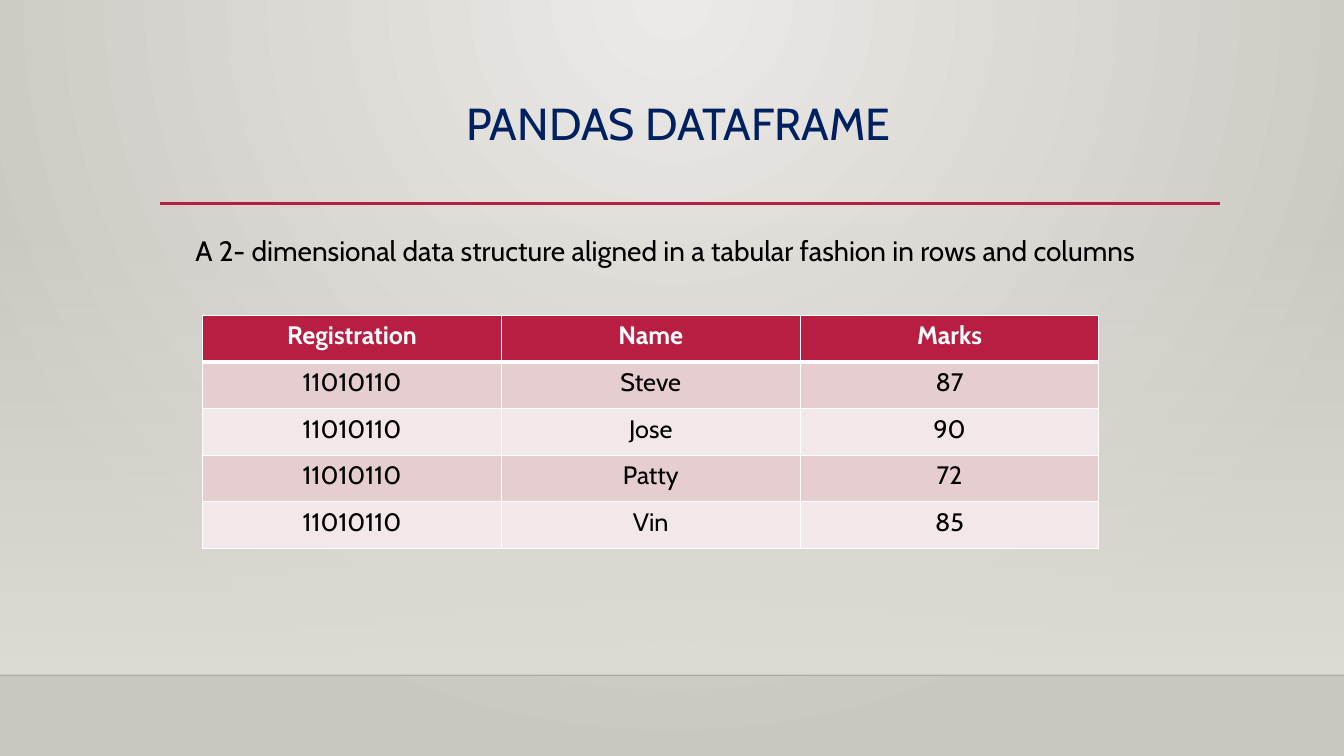
from dataclasses import dataclass

from lxml.etree import SubElement
from pptx import Presentation
from pptx.dml.color import RGBColor
from pptx.enum.shapes import MSO_CONNECTOR, MSO_SHAPE
from pptx.enum.text import PP_ALIGN
from pptx.oxml import parse_xml
from pptx.oxml.ns import nsdecls, qn
from pptx.util import Inches, Pt


@dataclass(frozen=True)
class Theme:
    """Colours, font and type sizes of the slide."""

    font: str = "Cabin"
    title_size: int = 32
    body_size: int = 20
    table_size: int = 18
    navy: str = "002060"
    black: str = "000000"
    white: str = "FFFFFF"
    crimson: str = "B71E42"
    band_dark: str = "E6CDCF"
    band_light: str = "F3E8E9"
    glow: str = "ECEAE7"
    edge: str = "CAC7C1"
    wall: str = "DFDBD5"
    floor_line: str = "000001"


THEME = Theme()
RADIAL = '<a:path path="circle"><a:fillToRect l="43000" t="0" r="43000" b="100000"/></a:path>'
DOWNWARD = '<a:lin ang="5400000" scaled="0"/>'
STUDENTS = [
    ("Registration", "Name", "Marks"),
    ("11010110", "Steve", "87"),
    ("11010110", "Jose", "90"),
    ("11010110", "Patty", "72"),
    ("11010110", "Vin", "85"),
]


def set_gradient(fill, element, stops, direction):
    """Give a fill a gradient of (position, colour, opacity) stops in percent."""
    fill.gradient()
    default = element.find(".//" + qn("a:gradFill"))
    stop_list = "".join(
        f'<a:gs pos="{position * 1000}"><a:srgbClr val="{color}">'
        f'<a:alpha val="{opacity * 1000}"/></a:srgbClr></a:gs>'
        for position, color, opacity in stops
    )
    gradient = parse_xml(
        f'<a:gradFill {nsdecls("a")} rotWithShape="1">'
        f"<a:gsLst>{stop_list}</a:gsLst>{direction}</a:gradFill>"
    )
    default.getparent().replace(default, gradient)


def add_wall(slide):
    """Add the wall that fades in towards the floor."""
    wall = slide.shapes.add_shape(
        MSO_SHAPE.RECTANGLE, Inches(0), Inches(2.21), Inches(13.33), Inches(4.49)
    )
    wall.shadow.inherit = False
    wall.line.fill.background()
    stops = [(0, THEME.wall, 0), (100, THEME.wall, 100)]
    set_gradient(wall.fill, wall.element, stops, DOWNWARD)


def add_rule(slide, left, right, top, color, weight, opacity=100):
    """Add a horizontal line."""
    rule = slide.shapes.add_connector(
        MSO_CONNECTOR.STRAIGHT, Inches(left), Inches(top), Inches(right), Inches(top)
    )
    rule.line.color.rgb = RGBColor.from_string(color)
    rule.line.width = Pt(weight)
    if opacity < 100:
        tint = rule.element.spPr.find(".//" + qn("a:srgbClr"))
        SubElement(tint, qn("a:alpha"), val=str(opacity * 1000))
    SubElement(rule.element.spPr, qn("a:effectLst"))


def write(paragraph, text, size, color, bold=False):
    """Write a centred run into a paragraph."""
    paragraph.alignment = PP_ALIGN.CENTER
    run = paragraph.add_run()
    run.text = text
    run.font.name = THEME.font
    run.font.size = Pt(size)
    run.font.bold = bold
    run.font.color.rgb = RGBColor.from_string(color)


def add_text(slide, box, text, size, color, line_spacing, space_before=0):
    """Add a wrapped text box with one paragraph."""
    frame = slide.shapes.add_textbox(*map(Inches, box)).text_frame
    frame.word_wrap = True
    paragraph = frame.paragraphs[0]
    paragraph.line_spacing = line_spacing
    paragraph.space_before = Pt(space_before)
    write(paragraph, text, size, color)


def set_borders(cell, top, bottom):
    """Draw white cell borders with the given top and bottom weights."""
    properties = cell._tc.get_or_add_tcPr()
    for side, weight in (("L", 1), ("R", 1), ("T", top), ("B", bottom)):
        border = SubElement(properties, qn(f"a:ln{side}"), w=str(Pt(weight)))
        fill = SubElement(border, qn("a:solidFill"))
        SubElement(fill, qn("a:srgbClr"), val=THEME.white)


def add_student_table(slide):
    """Add the banded table of students under its header row."""
    row_count, column_count = len(STUDENTS), len(STUDENTS[0])
    table = slide.shapes.add_table(
        row_count, column_count, Inches(2.01), Inches(3.13), Inches(8.89), Inches(2.31)
    ).table
    for row, values in enumerate(STUDENTS):
        header = row == 0
        band = THEME.band_dark if row % 2 else THEME.band_light
        for column, value in enumerate(values):
            cell = table.cell(row, column)
            set_borders(cell, top=3 if row == 1 else 1, bottom=3 if header else 1)
            cell.fill.solid()
            cell.fill.fore_color.rgb = RGBColor.from_string(THEME.crimson if header else band)
            color = THEME.white if header else THEME.black
            write(cell.text_frame.paragraphs[0], value, THEME.table_size, color, header)


def main():
    """Build the slide and save it."""
    deck = Presentation()
    deck.slide_width, deck.slide_height = Inches(13.33), Inches(7.5)
    slide = deck.slides.add_slide(deck.slide_layouts[6])
    backdrop = [(0, THEME.glow, 100), (100, THEME.edge, 100)]
    set_gradient(slide.background.fill, slide.element, backdrop, RADIAL)
    add_wall(slide)
    add_rule(slide, 0, 13.33, 6.7, THEME.floor_line, 1, opacity=20)
    add_rule(slide, 1.59, 12.1, 2.02, THEME.crimson, 2.5)
    add_text(
        slide, (1.48, 0.96, 10.5, 1.15), "PANDAS DATAFRAME",
        THEME.title_size, THEME.navy, line_spacing=0.9,
    )
    add_text(
        slide, (1.11, 2.2, 10.98, 0.49),
        "A 2- dimensional data structure aligned in a tabular fashion in rows and columns",
        THEME.body_size, THEME.black, line_spacing=1.2, space_before=10,
    )
    add_student_table(slide)
    deck.save("out.pptx")


if __name__ == "__main__":
    main()
